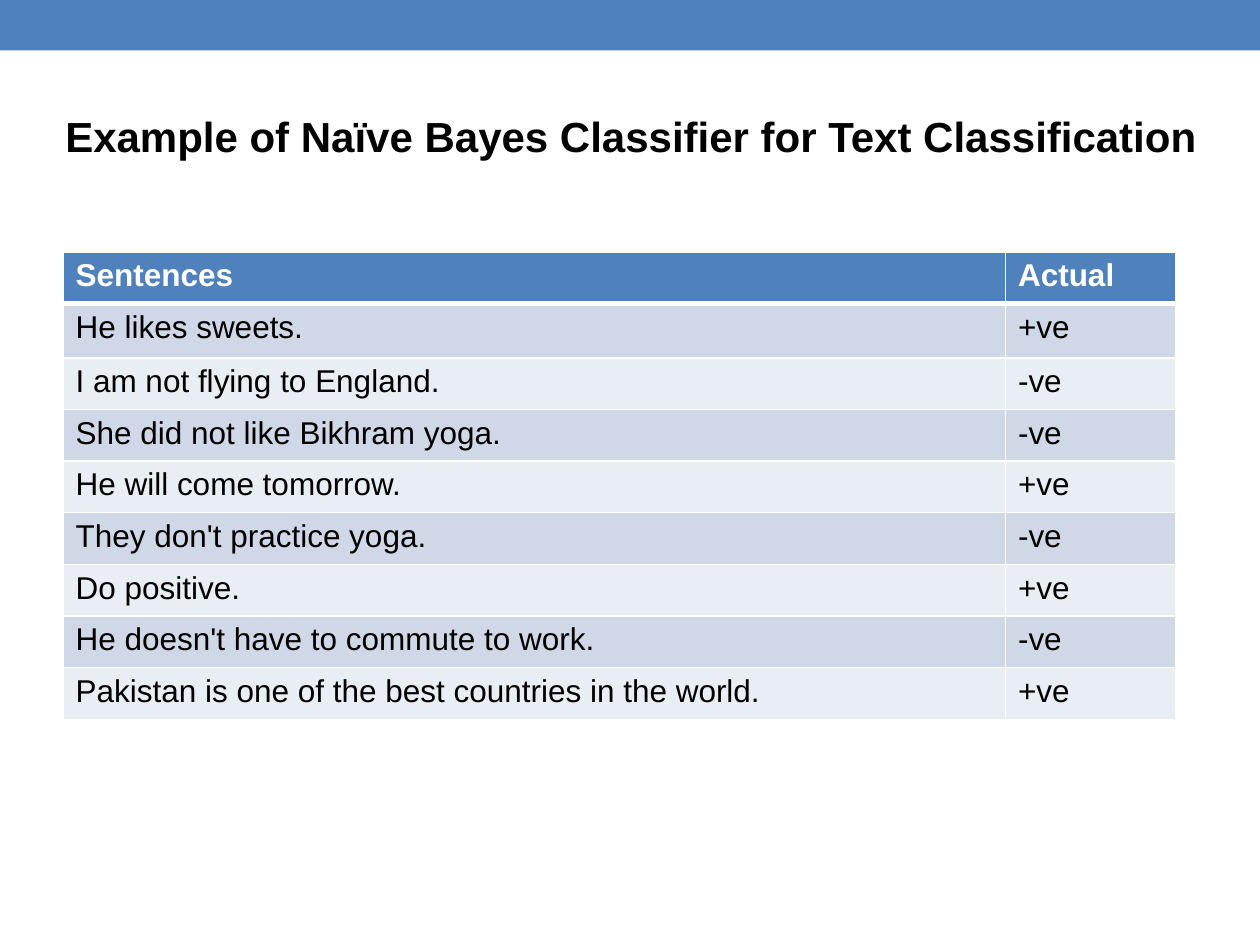
from dataclasses import dataclass

from lxml import etree
from pptx import Presentation
from pptx import util as u
from pptx.dml.color import RGBColor
from pptx.enum import shapes, text
from pptx.oxml import ns


@dataclass(frozen=True)
class Theme:
    font: str = "Arial"
    title_size: int = 24
    table_size: int = 18
    accent: str = "4F81BD"
    bands: tuple = ("D0D8E8", "E9EDF4")
    ink: str = "000000"
    light: str = "FFFFFF"


THEME = Theme()
HEADER = ("Sentences", "Actual")
EXAMPLES = [
    ("He likes sweets.", "+ve"),
    ("I am not flying to England.", "-ve"),
    ("She did not like Bikhram yoga.", "-ve"),
    ("He will come tomorrow.", "+ve"),
    ("They don't practice yoga.", "-ve"),
    ("Do positive.", "+ve"),
    ("He doesn't have to commute to work.", "-ve"),
    ("Pakistan is one of the best countries in the world.", "+ve"),
]
COLUMN_WIDTHS = (7.48, 1.35)
ROW_HEIGHTS = [0.41, 0.43] + [0.41] * 7


def set_fill(target, color):
    target.fill.solid()
    target.fill.fore_color.rgb = RGBColor.from_string(color)


def write_text(tf, content, size, color, bold):
    tf.text = content
    for r in tf.paragraphs[0].runs:
        r.font.name = THEME.font
        r.font.size = u.Pt(size)
        r.font.bold = bold
        r.font.color.rgb = RGBColor.from_string(color)


def add_banner(s, width):
    sp = s.shapes.add_shape(
        shapes.MSO_SHAPE.RECTANGLE, 0, 0, width, u.Inches(0.4))
    sp.shadow.inherit = False
    set_fill(sp, THEME.accent)
    sp.line.fill.background()


def add_title(s, content):
    sp = s.shapes.add_textbox(
        u.Inches(0.42), u.Inches(0.83), u.Inches(9.27), u.Inches(0.5))
    tf = sp.text_frame
    tf.word_wrap = False
    tf.auto_size = text.MSO_AUTO_SIZE.SHAPE_TO_FIT_TEXT
    write_text(tf, content, THEME.title_size, THEME.ink, True)


def set_borders(cell, bottom, top):
    props = cell._tc.get_or_add_tcPr()
    widths = {"a:lnL": 1, "a:lnR": 1, "a:lnT": top, "a:lnB": bottom}
    for position, (tag, width) in enumerate(widths.items()):
        line = etree.Element(ns.qn(tag), w=str(u.Pt(width)))
        fill = etree.SubElement(line, ns.qn("a:solidFill"))
        etree.SubElement(fill, ns.qn("a:srgbClr"), val=THEME.light)
        props.insert(position, line)


def add_examples_table(s):
    rows = [HEADER] + EXAMPLES
    frame = s.shapes.add_table(
        len(rows), len(HEADER), u.Inches(0.5), u.Inches(2),
        u.Inches(sum(COLUMN_WIDTHS)), u.Inches(sum(ROW_HEIGHTS)))
    table = frame.table
    for column, width in zip(table.columns, COLUMN_WIDTHS):
        column.width = u.Inches(width)
    for i, (values, height) in enumerate(zip(rows, ROW_HEIGHTS)):
        table.rows[i].height = u.Inches(height)
        is_header = i == 0
        fill = THEME.accent if is_header else THEME.bands[(i - 1) % 2]
        color = THEME.light if is_header else THEME.ink
        for j, value in enumerate(values):
            cell = table.cell(i, j)
            write_text(cell.text_frame, value, THEME.table_size, color, is_header)
            set_fill(cell, fill)
            set_borders(cell, 3 if is_header else 1, 3 if i == 1 else 1)


def main():
    prs = Presentation()
    prs.slide_width, prs.slide_height = u.Inches(10), u.Inches(7.5)
    s = prs.slides.add_slide(prs.slide_layouts[6])
    add_banner(s, prs.slide_width)
    add_title(s, "Example of Naïve Bayes Classifier for Text Classification")
    add_examples_table(s)
    prs.save("out.pptx")


if __name__ == "__main__":
    main()
